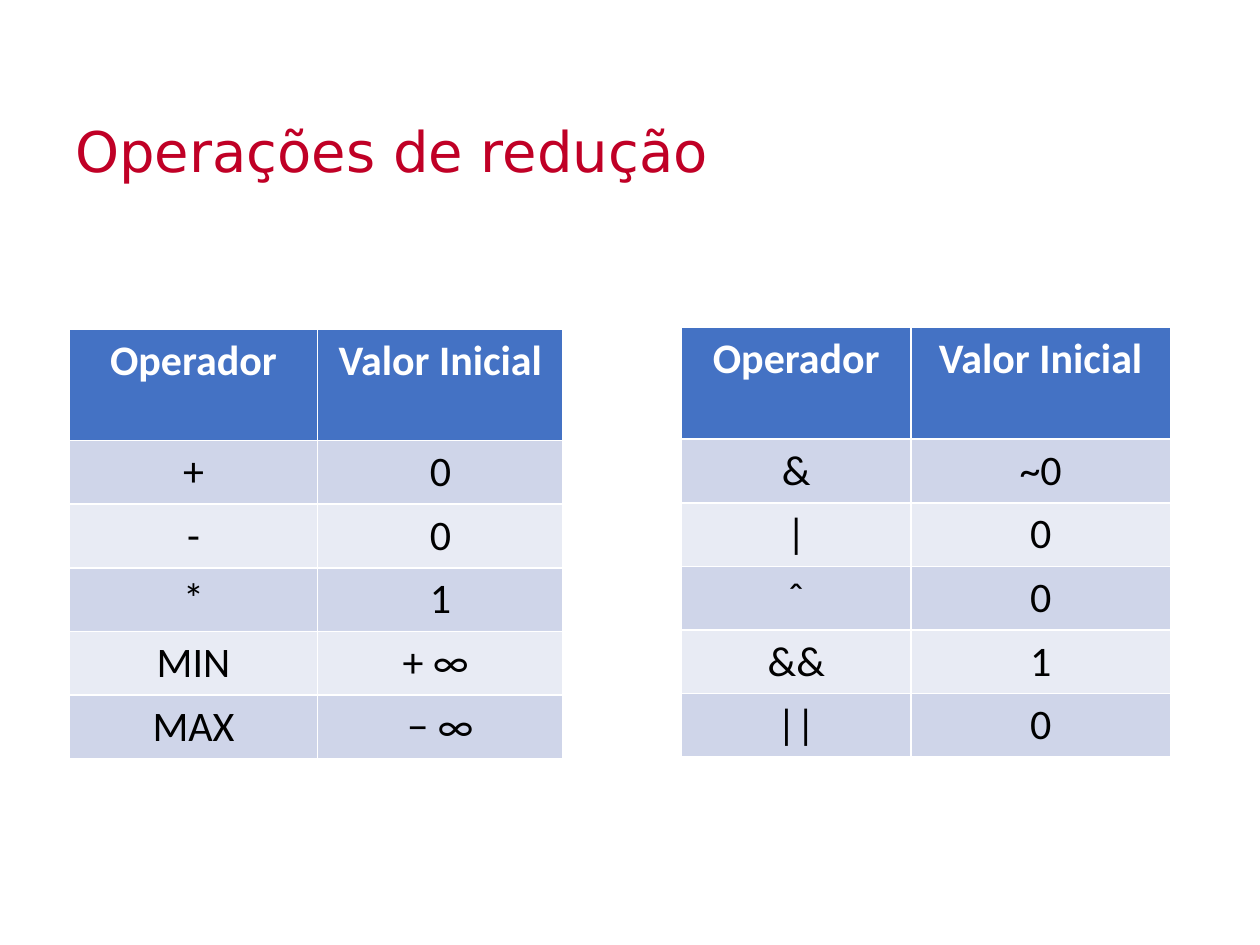
import pptx
import pptx.util
import pptx.dml.color
import pptx.enum.text
import pptx.oxml
import pptx.oxml.ns

RGBColor = pptx.dml.color.RGBColor
RED = RGBColor(0xC0, 0x00, 0x26)
BLUE = RGBColor(0x44, 0x72, 0xC4)
WHITE = RGBColor(0xFF, 0xFF, 0xFF)
BLACK = RGBColor(0x00, 0x00, 0x00)
BANDS = (RGBColor(0xE8, 0xEB, 0xF4), RGBColor(0xCF, 0xD5, 0xE9))

WIDTH, HEIGHT = pptx.util.Inches(10), pptx.util.Inches(7.5)
TITLE_BOX = (0.05, 0.1133, 0.9, 0.0907)
HEADER_SHARE = 0.26
HEADER = ("Operador", "Valor Inicial")
TITLE_FONT = {"name": "DejaVu Sans", "size": pptx.util.Pt(32)}
CELL_FONT = {"name": "Calibri", "size": pptx.util.Pt(24)}

TABLES = (
    ((0.055, 0.348, 0.392, 0.455), 0.503,
     (("+", "0"), ("-", "0"), ("*", "1"), ("MIN", "+ ∞ "), ("MAX", "− ∞"))),
    ((0.541, 0.3465, 0.388, 0.455), 0.469,
     (("&", "~0"), ("|", "0"), ("ˆ", "0"), ("&&", "1"), ("||", "0"))),
)


def scale(box):
    """Turn shares of the slide into lengths."""
    return [round(share * side) for share, side in zip(box, (WIDTH, HEIGHT) * 2)]


def write(tf, text, **fmt):
    """Put formatted text into the first paragraph of a text frame."""
    p = tf.paragraphs[0]
    r = p.add_run()
    r.text = text
    for name, value in fmt.items():
        if name == "color":
            r.font.color.rgb = value
        else:
            setattr(r.font, name, value)
    return p


def add_borders(cell):
    """Draw thin white lines on the four sides of a cell."""
    tcPr = cell._tc.get_or_add_tcPr()
    ns = pptx.oxml.ns.nsdecls("a")
    for i, side in enumerate(("lnL", "lnR", "lnT", "lnB")):
        tcPr.insert(i, pptx.oxml.parse_xml(
            f'<a:{side} {ns} w="12192"><a:solidFill><a:srgbClr val="{WHITE}"/>'
            f'</a:solidFill></a:{side}>'))


def add_title(s, box, text):
    """Place the slide title in its box."""
    tf = s.shapes.add_textbox(*scale(box)).text_frame
    tf.word_wrap = True
    tf.vertical_anchor = pptx.enum.text.MSO_ANCHOR.MIDDLE
    write(tf, text, color=RED, **TITLE_FONT)


def add_operator_table(s, box, split, body):
    """Place a table of operators and their initial values in its box."""
    left, top, width, height = scale(box)
    rows = (HEADER, *body)
    table = s.shapes.add_table(len(rows), len(HEADER), left, top, width, height).table
    for column, share in zip(table.columns, (split, 1 - split)):
        column.width = round(width * share)
    for i, values in enumerate(rows):
        share = (1 - HEADER_SHARE) / len(body) if i else HEADER_SHARE
        table.rows[i].height = round(height * share)
        for j, text in enumerate(values):
            cell = table.cell(i, j)
            cell.fill.solid()
            cell.fill.fore_color.rgb = BANDS[i % 2] if i else BLUE
            add_borders(cell)
            p = write(cell.text_frame, text, bold=i == 0,
                      color=BLACK if i else WHITE, **CELL_FONT)
            p.alignment = pptx.enum.text.PP_ALIGN.CENTER


def main():
    """Build the slide and save it."""
    prs = pptx.Presentation()
    prs.slide_width, prs.slide_height = WIDTH, HEIGHT
    s = prs.slides.add_slide(prs.slide_layouts[6])
    add_title(s, TITLE_BOX, "Operações de redução")
    for box, split, body in TABLES:
        add_operator_table(s, box, split, body)
    prs.save("out.pptx")


if __name__ == "__main__":
    main()
